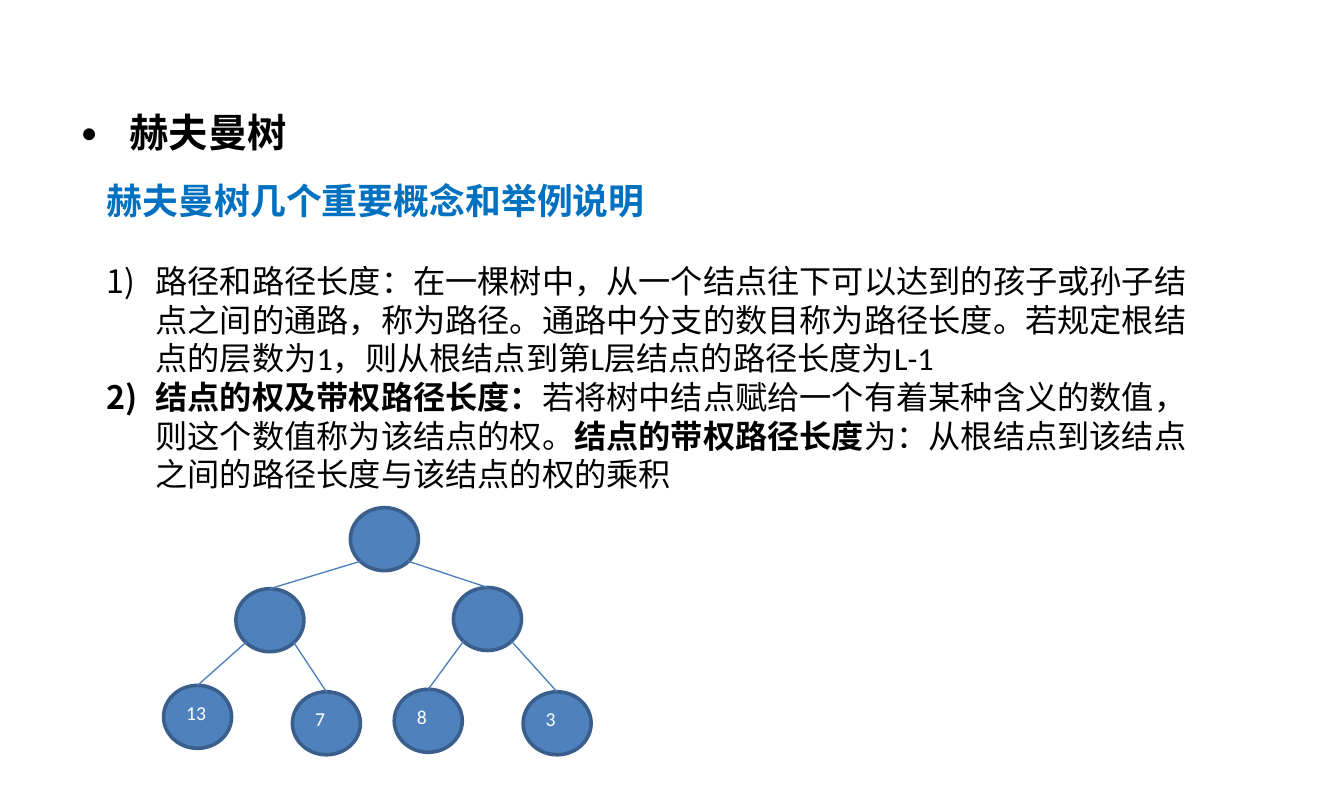
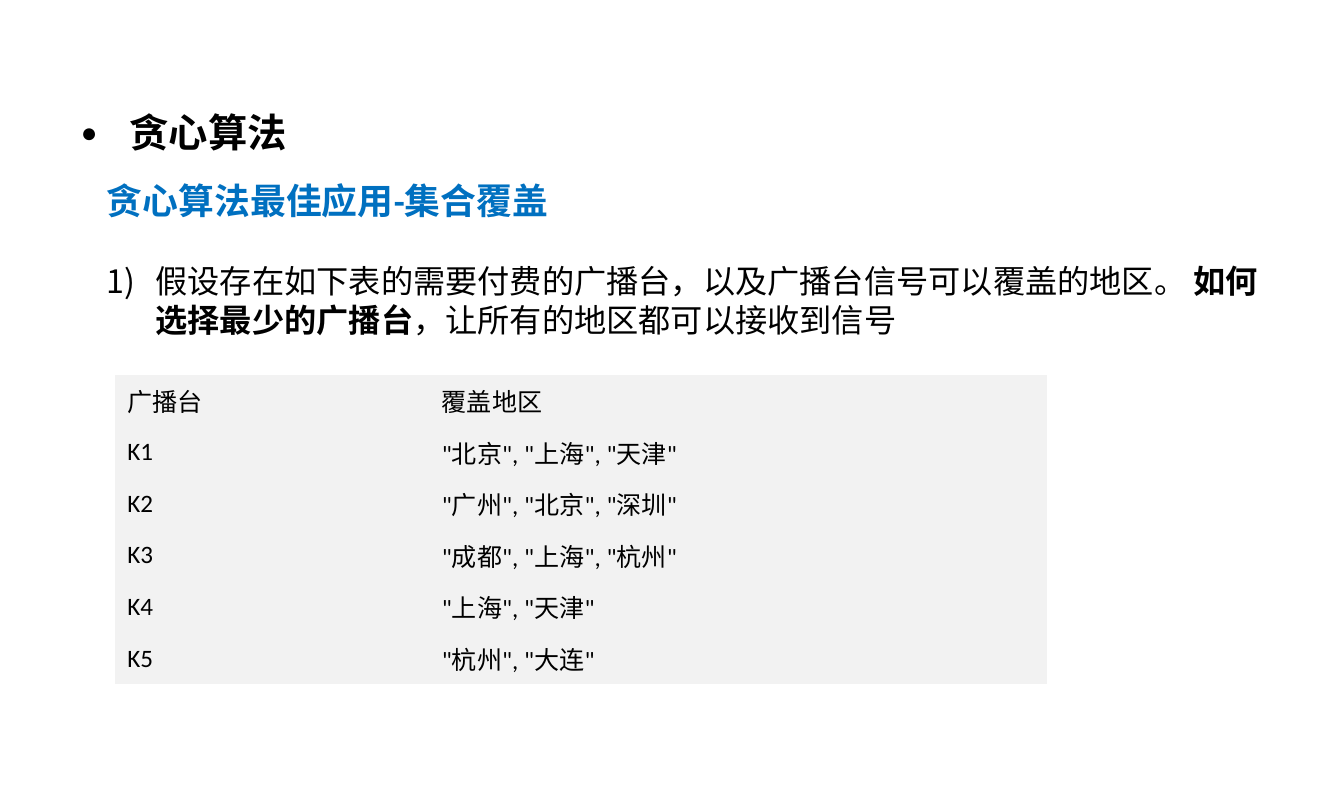
from lxml.etree import SubElement
from pptx import Presentation
from pptx.dml.color import RGBColor
from pptx.enum.shapes import MSO_CONNECTOR, MSO_SHAPE
from pptx.enum.text import MSO_ANCHOR, MSO_AUTO_SIZE, PP_ALIGN
from pptx.oxml.ns import qn
from pptx.util import Pt

COLORS = {
    "text": "000000",
    "subtitle": "0070C0",
    "node": "4F81BD",
    "node_line": "3A5F8C",
    "edge": "4B7EBC",
    "node_text": "FFFFFF",
    "cell": "F2F2F2",
}
TITLE_FONT, BODY_FONT = "Arial", "Calibri"
HANGING = 27.2
PLAIN_TABLE_STYLE = "{2D5ABB26-0587-4C30-8999-92F81FD0307C}"

NODE_WIDTH, NODE_HEIGHT = 38, 35.2
# Each node: parent index, left, top, label; a parent's first child is its left one.
TREE = [
    (None, 104.4, 0, ""),
    (0, 40.4, 45.3, ""),
    (0, 162, 44.6, ""),
    (1, 0, 99.3, "13"),
    (1, 72, 102.9, "7"),
    (2, 128.9, 101.5, "8"),
    (2, 200.9, 102.9, "3"),
]

HUFFMAN_POINTS = [
    [("路径和路径长度：在一棵树中，从一个结点往下可以达到的孩子或孙子结点之间的通路，"
      "称为路径。通路中分支的数目称为路径长度。若规定根结点的层数为1，"
      "则从根结点到第L层结点的路径长度为L-1", False)],
    [("结点的权及带权路径长度：", True),
     ("若将树中结点赋给一个有着某种含义的数值，则这个数值称为该结点的权。", False),
     ("结点的带权路径长度", True),
     ("为：从根结点到该结点之间的路径长度与该结点的权的乘积", False)],
]
GREEDY_POINTS = [
    [("假设存在如下表的需要付费的广播台，以及广播台信号可以覆盖的地区。 ", False),
     ("如何选择最少的广播台", True),
     ("，让所有的地区都可以接收到信号", False)],
]
STATIONS = [
    ("广播台", "覆盖地区"),
    ("K1", '"北京", "上海", "天津"'),
    ("K2", '"广州", "北京", "深圳"'),
    ("K3", '"成都", "上海", "杭州"'),
    ("K4", '"上海", "天津"'),
    ("K5", '"杭州", "大连"'),
]


def rgb(name):
    return RGBColor.from_string(COLORS[name])


def add_span(para, text, size, color="text", bold=False, font=BODY_FONT):
    span = para.add_run()
    span.text = text
    span.font.name = font
    span.font.size = Pt(size)
    span.font.bold = bold
    span.font.color.rgb = rgb(color)


def set_bullet(para, *elements):
    """Give a paragraph a hanging indent and (tag, attributes) bullet elements."""
    props = para._p.get_or_add_pPr()
    props.set("marL", str(Pt(HANGING)))
    props.set("indent", str(Pt(-HANGING)))
    for tag, attributes in elements:
        SubElement(props, qn(tag), attributes)


def add_title(page, left, top, width, height, text):
    title = page.shapes.title
    title.left, title.top = Pt(left), Pt(top)
    title.width, title.height = Pt(width), Pt(height)
    frame = title.text_frame
    frame.auto_size = MSO_AUTO_SIZE.NONE
    frame.vertical_anchor = MSO_ANCHOR.TOP
    para = frame.paragraphs[0]
    set_bullet(para, ("a:buSzPct", {"val": "70000"}),
               ("a:buFont", {"typeface": TITLE_FONT}),
               ("a:buChar", {"char": "●"}))
    para.alignment = PP_ALIGN.LEFT
    para.line_spacing = 0.9
    add_span(para, text, 22, bold=True, font=TITLE_FONT)


def add_body(page, left, top, width, height, subtitle, points):
    box = page.shapes.add_textbox(Pt(left), Pt(top), Pt(width), Pt(height))
    frame = box.text_frame
    frame.word_wrap = True
    heading = frame.paragraphs[0]
    heading.space_after = Pt(22)
    add_span(heading, subtitle, 20, "subtitle", True)
    for point in points:
        para = frame.add_paragraph()
        set_bullet(para, ("a:buFont", {"typeface": BODY_FONT}),
                   ("a:buAutoNum", {"type": "arabicParenR"}))
        for text, bold in point:
            add_span(para, text, 18, bold=bold)


def add_node(page, left, top, label):
    node = page.shapes.add_shape(MSO_SHAPE.OVAL, Pt(left), Pt(top),
                                 Pt(NODE_WIDTH), Pt(NODE_HEIGHT))
    node.shadow.inherit = False
    node.fill.solid()
    node.fill.fore_color.rgb = rgb("node")
    node.line.color.rgb = rgb("node_line")
    node.line.width = Pt(2)
    if label:
        node.text_frame.vertical_anchor = MSO_ANCHOR.TOP
        para = node.text_frame.paragraphs[0]
        para.alignment = PP_ALIGN.LEFT
        add_span(para, label, 11, "node_text")


def add_edge(page, parent, child):
    """Join a parent's lower left or lower right to the top of its child."""
    across = 0.15 if child[0] < parent[0] else 0.85
    edge = page.shapes.add_connector(
        MSO_CONNECTOR.STRAIGHT,
        Pt(parent[0] + across * NODE_WIDTH), Pt(parent[1] + 0.85 * NODE_HEIGHT),
        Pt(child[0] + NODE_WIDTH / 2), Pt(child[1]))
    edge.line.color.rgb = rgb("edge")
    edge.line.width = Pt(0.75)
    SubElement(edge._element.spPr, qn("a:effectLst"))


def add_tree(page, left, top):
    corners = [(left + x, top + y) for _, x, y, _ in TREE]
    for corner, (parent, _, _, label) in zip(corners, TREE):
        add_node(page, *corner, label)
        if parent is not None:
            add_edge(page, corners[parent], corner)


def add_station_table(page, left, top, widths, row_height):
    frame = page.shapes.add_table(len(STATIONS), len(widths), Pt(left), Pt(top),
                                  Pt(sum(widths)), Pt(row_height * len(STATIONS)))
    table = frame.table
    table.first_row = table.horz_banding = False
    next(frame._element.iter(qn("a:tableStyleId"))).text = PLAIN_TABLE_STYLE
    for column, width in zip(table.columns, widths):
        column.width = Pt(width)
    for row, texts in zip(table.rows, STATIONS):
        row.height = Pt(row_height)
        for cell, text in zip(row.cells, texts):
            cell.fill.solid()
            cell.fill.fore_color.rgb = rgb("cell")
            cell.vertical_anchor = MSO_ANCHOR.MIDDLE
            add_span(cell.text_frame.paragraphs[0], text, 14)


def add_page(deck, title, subtitle, points, body_width, body_height):
    page = deck.slides.add_slide(deck.slide_layouts[5])
    add_title(page, 38, 60, 598, 31, title)
    add_body(page, 52.6, 96.5, body_width, body_height, subtitle, points)
    return page


def main():
    deck = Presentation()
    deck.slide_width, deck.slide_height = Pt(751), Pt(442)

    huffman = add_page(deck, "赫夫曼树", "赫夫曼树几个重要概念和举例说明",
                       HUFFMAN_POINTS, 635, 227.5)
    add_tree(huffman, 91.4, 283.7)

    greedy = add_page(deck, "贪心算法", "贪心算法最佳应用-集合覆盖",
                      GREEDY_POINTS, 663, 119)
    add_station_table(greedy, 64, 209.5, (175.7, 345.6), 28.8)

    deck.save("out.pptx")


if __name__ == "__main__":
    main()
